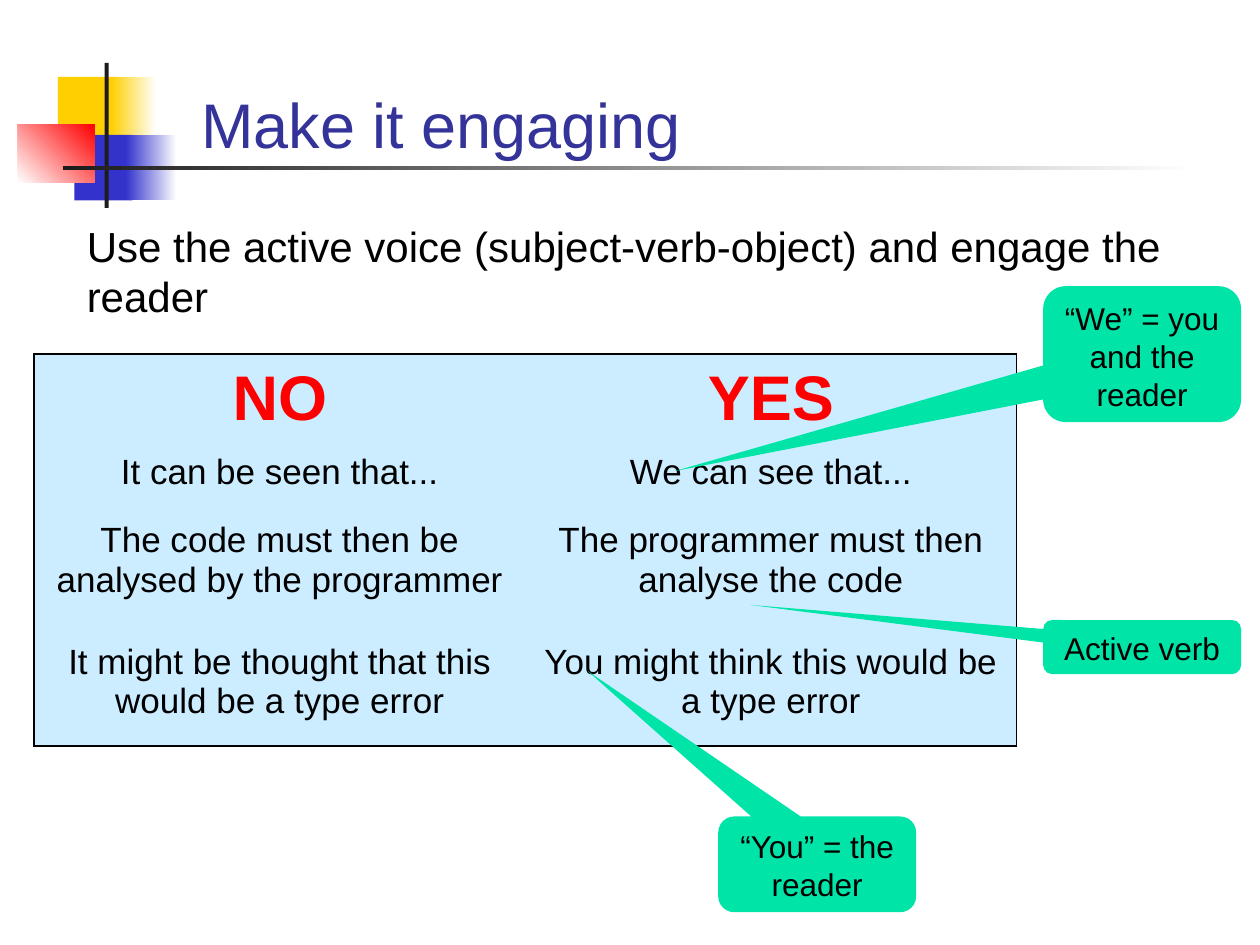
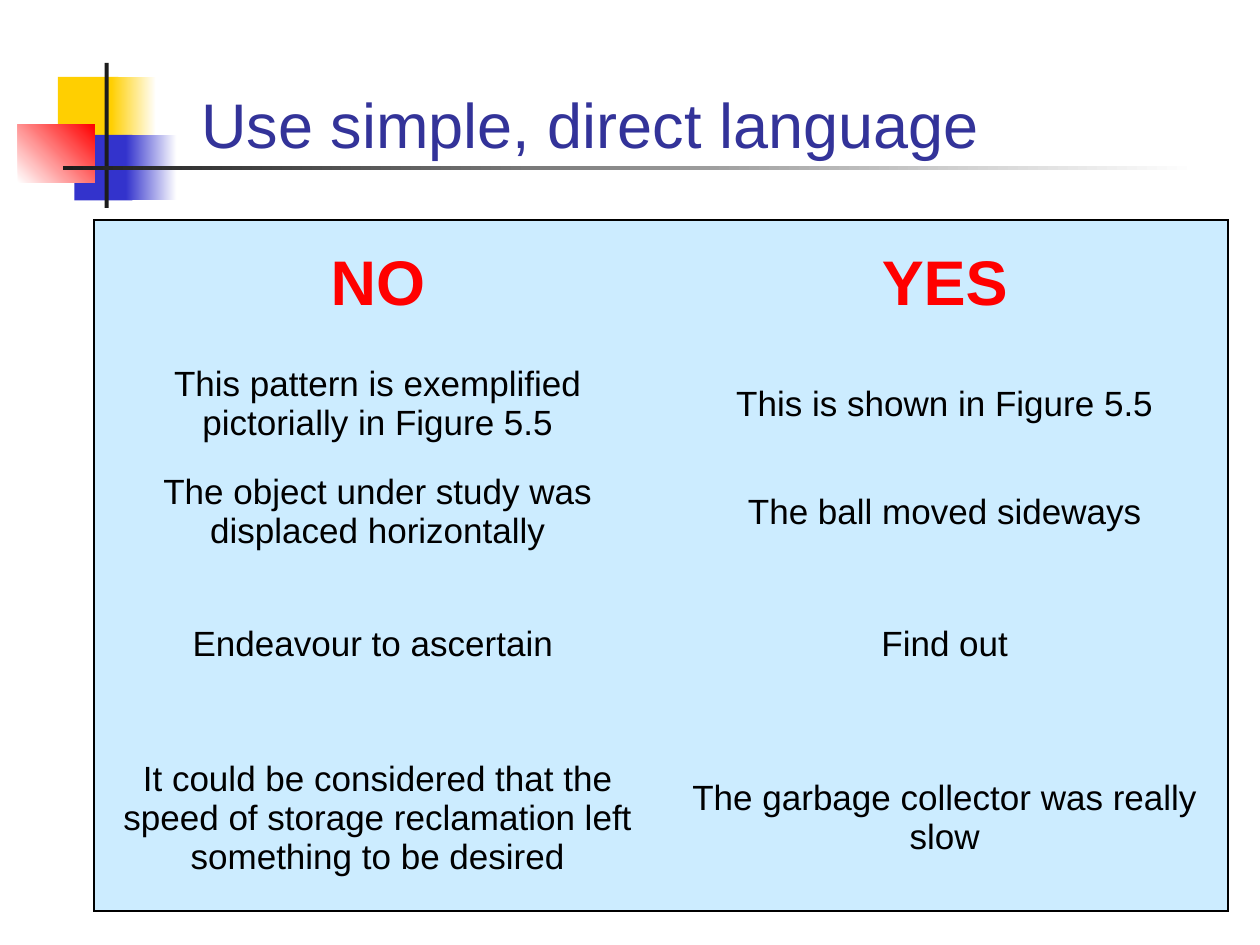
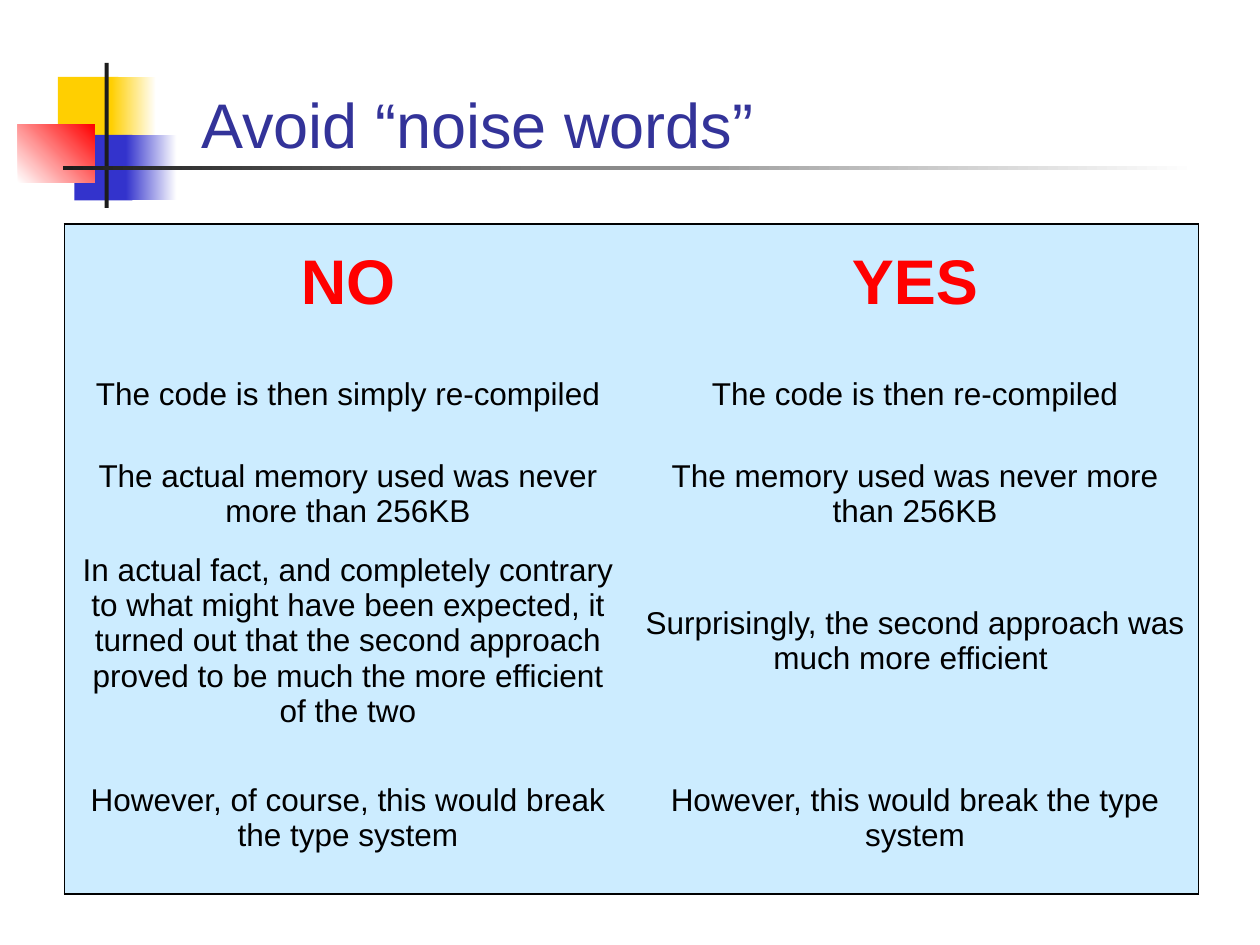
"""Build three slides of writing advice with NO / YES comparison tables."""
from lxml import etree
from pptx import Presentation
from pptx import util as u
from pptx.dml.color import RGBColor
from pptx.enum import shapes, text
from pptx.oxml import ns

Cm, Pt = u.Cm, u.Pt

BLACK = RGBColor(0x00, 0x00, 0x00)
WHITE = RGBColor(0xFF, 0xFF, 0xFF)
INK = RGBColor(0x1C, 0x1C, 0x1C)
YELLOW = RGBColor(0xFF, 0xCF, 0x01)
BLUE = RGBColor(0x33, 0x33, 0xCC)
RED = RGBColor(0xFF, 0x00, 0x00)
TITLE = RGBColor(0x33, 0x33, 0x99)
PALE = RGBColor(0xCC, 0xEC, 0xFF)
GREEN = RGBColor(0x00, 0xE4, 0xA8)

FONT = "Arial"
BORDER = Pt(1.08)
CALLOUT_WIDTH = 3.99

MOTIF = [
    ((0.81, 0.28, 1.22, 1.32), [YELLOW], 0),
    ((1.88, 0.28, 0.91, 1.32), [YELLOW, WHITE], 0),
    ((1.14, 1.45, 1.17, 1.32), [BLUE], 0),
    ((2.18, 1.45, 1.02, 1.32), [BLUE, WHITE], 0),
    ((0, 1.24, 1.55, 1.17), [WHITE, RED], 45),
    ((1.75, 0, 0.08, 2.92), [INK], 0),
    ((0.91, 2.08, 22.86, 0.08), [INK, WHITE], 0),
]

ENGAGING = [
    ("It can be seen that...", "We can see that..."),
    ("The code must then be analysed by the programmer",
     "The programmer must then analyse the code"),
    ("It might be thought that this would be a type error",
     "You might think this would be a type error"),
]
SIMPLE = [
    ("This pattern is exemplified pictorially in Figure 5.5",
     "This is shown in Figure 5.5"),
    ("The object under study was displaced horizontally",
     "The ball moved sideways"),
    ("Endeavour to ascertain ", "Find out"),
    ("It could be considered that the speed of storage reclamation left "
     "something to be desired",
     "The garbage collector was really slow"),
]
NOISE = [
    ("The code is then simply re-compiled", "The code is then re-compiled"),
    ("The actual memory used was never more than 256KB",
     "The memory used was never more than 256KB"),
    ("In actual fact, and completely contrary to what might have been "
     "expected, it turned out that the second approach proved to be much "
     "the more efficient of the two",
     "Surprisingly, the second approach was much more efficient "),
    ("However, of course, this would break the type system",
     "However, this would break the type system"),
]


def write(tf, words, size, color=BLACK, bold=False, before=0,
          align=text.PP_ALIGN.CENTER):
    """Fill a text frame with one formatted paragraph."""
    tf.text = words
    tf.word_wrap = True
    p = tf.paragraphs[0]
    p.alignment = align
    p.space_before = Pt(before)
    font = p.runs[0].font
    font.name, font.size, font.bold = FONT, Pt(size), bold
    font.color.rgb = color


def add_box(s, kind, box, colors, angle=0):
    """Add an unlined shape with a solid or two-colour gradient fill."""
    sp = s.shapes.add_shape(kind, *map(Cm, box))
    sp.shadow.inherit = False
    sp.line.fill.background()
    if len(colors) == 1:
        sp.fill.solid()
        sp.fill.fore_color.rgb = colors[0]
    else:
        sp.fill.gradient()
        sp.fill.gradient_angle = angle
        for stop, color in zip(sp.fill.gradient_stops, colors):
            stop.color.rgb = color
    return sp


def add_text(s, box, words, size, color=BLACK, before=0,
             anchor=text.MSO_ANCHOR.TOP):
    """Add a left-aligned text box."""
    tf = s.shapes.add_textbox(*map(Cm, box)).text_frame
    write(tf, words, size, color, before=before, align=text.PP_ALIGN.LEFT)
    tf.vertical_anchor = anchor


def add_motif(s, left, top):
    """Draw the coloured squares and crossing rules from a corner."""
    for (x, y, w, h), colors, angle in MOTIF:
        add_box(s, shapes.MSO_SHAPE.RECTANGLE, (left + x, top + y, w, h),
                colors, angle)


def set_borders(cell, outer):
    """Draw the cell sides named in outer and clear the others."""
    tc_pr = cell._tc.get_or_add_tcPr()
    for side in "LRTB":
        ln = etree.SubElement(tc_pr, ns.qn("a:ln" + side), w=str(BORDER))
        if side in outer:
            fill = etree.SubElement(ln, ns.qn("a:solidFill"))
            etree.SubElement(fill, ns.qn("a:srgbClr"), val=str(BLACK))
        else:
            etree.SubElement(ln, ns.qn("a:noFill"))


def add_comparison(s, left, top, col_width, heights, pairs, size):
    """Add a framed NO / YES table with one row for each pair."""
    rows = [("NO", "YES")] + pairs
    table = s.shapes.add_table(len(rows), 2, Cm(left), Cm(top),
                               Cm(2 * col_width), Cm(sum(heights))).table
    table.first_row = table.horz_banding = False
    for col in table.columns:
        col.width = Cm(col_width)
    for i, (pair, height) in enumerate(zip(rows, heights)):
        table.rows[i].height = Cm(height)
        edge = {0: "T", len(rows) - 1: "B"}.get(i, "")
        for j, words in enumerate(pair):
            cell = table.cell(i, j)
            set_borders(cell, edge + "LR"[j])
            cell.fill.solid()
            cell.fill.fore_color.rgb = PALE
            cell.vertical_anchor = text.MSO_ANCHOR.MIDDLE
            if i == 0:
                write(cell.text_frame, words, 36, RED, True, before=9)
            else:
                write(cell.text_frame, words, size, before=size / 4)


def add_callout(s, left, top, height, tip, words):
    """Add a rounded callout whose tip is relative to its centre."""
    sp = add_box(s, shapes.MSO_SHAPE.ROUNDED_RECTANGULAR_CALLOUT,
                 (left, top, CALLOUT_WIDTH, height), [GREEN])
    sp.adjustments[0], sp.adjustments[1] = tip
    write(sp.text_frame, words, 18, before=9)
    sp.text_frame.vertical_anchor = text.MSO_ANCHOR.TOP


def add_slide(prs, title):
    """Add a blank slide with the shared motif and title."""
    s = prs.slides.add_slide(prs.slide_layouts[6])
    add_motif(s, 0.36, 1.27)
    add_text(s, (3.81, 0.2, 21.64, 3.18), title, 36, TITLE,
             anchor=text.MSO_ANCHOR.BOTTOM)
    return s


def main():
    """Build and save the slides."""
    prs = Presentation()
    prs.slide_width, prs.slide_height = Cm(25.4), Cm(19.05)

    s = add_slide(prs, "Make it engaging")
    add_comparison(s, 0.69, 7.14, 9.9, [1.78, 1.22, 2.31, 2.59], ENGAGING, 20)
    add_text(s, (1.5, 4.32, 22.3, 2.29), "Use the active voice "
             "(subject-verb-object) and engage the reader", 24, before=12)
    add_callout(s, 21.03, 5.77, 2.74, (-2.36, 0.86),
                "“We” = you and the reader")
    add_callout(s, 21.03, 12.5, 1.09, (-1.98, -0.78), "Active verb")
    add_callout(s, 14.48, 16.46, 1.93, (-1.16, -2.02), "“You” = the reader")

    s = add_slide(prs, "Use simple, direct language")
    add_comparison(s, 1.9, 4.44, 11.43, [2.54, 2.34, 2.01, 3.3, 3.73],
                   SIMPLE, 20)

    s = add_slide(prs, "Avoid “noise words”")
    add_comparison(s, 1.3, 4.52, 11.43, [2.36, 2.16, 1.85, 4.06, 3.07],
                   NOISE, 18)

    prs.save("out.pptx")


if __name__ == "__main__":
    main()
